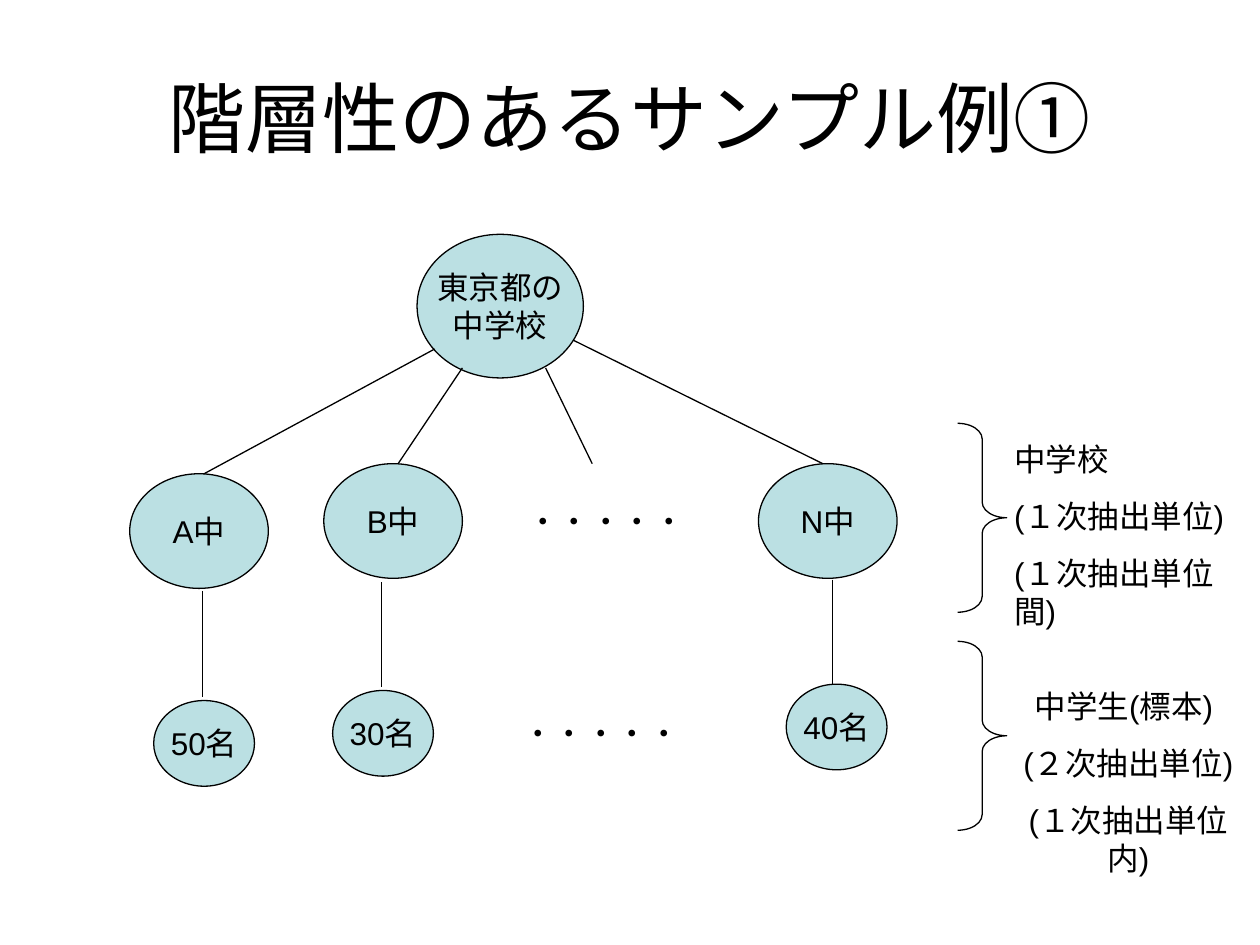
"""Build a slide showing a hierarchical school sample as a tree."""
import lxml.etree
import pptx
import pptx.dml.color
import pptx.enum.shapes
import pptx.enum.text
import pptx.oxml.ns
import pptx.util

Inches = pptx.util.Inches
Pt = pptx.util.Pt
ALIGN = pptx.enum.text.PP_ALIGN
SHAPE = pptx.enum.shapes.MSO_SHAPE
MIDDLE = pptx.enum.text.MSO_ANCHOR.MIDDLE

BLACK = pptx.dml.color.RGBColor(0x00, 0x00, 0x00)
PALE_TEAL = pptx.dml.color.RGBColor(0xBB, 0xE0, 0xE3)
FONT = "Arial"
DOTS = "・・・・・"
SCHOOL_SIZE = (1.1, 0.91)
PUPIL_SIZE = (0.8, 0.68)

SCHOOLS = [("A中", 1.03, 3.76), ("B中", 2.57, 3.68), (DOTS, 4.26, 3.68), ("N中", 6.02, 3.68)]
PUPILS = [("50名", 1.22, 5.56), ("30名", 2.64, 5.48), (DOTS, 4.37, 5.48), ("40名", 6.24, 5.43)]
BRANCHES = [
    ((3.45, 2.77), (1.62, 3.76)),
    ((3.67, 2.92), (3.16, 3.68)),
    ((4.33, 2.92), (4.7, 3.68)),
    ((4.55, 2.7), (6.53, 3.68)),
    ((1.61, 4.69), (1.61, 5.53)),
    ((3.03, 4.62), (3.03, 5.45)),
    ((6.61, 4.6), (6.61, 5.43)),
]


def format_text(text_frame, size, align):
    """Give every paragraph the same size, font, colour and alignment."""
    for paragraph in text_frame.paragraphs:
        paragraph.alignment = align
        for run in paragraph.runs:
            run.font.size = Pt(size)
            run.font.name = FONT
            run.font.color.rgb = BLACK


def outline(shape):
    """Draw the thin black line that all parts of the tree share."""
    shape.line.color.rgb = BLACK
    shape.line.width = Pt(0.75)


def add_title(slide, text):
    """Fill and place the title placeholder."""
    title = slide.shapes.title
    title.left, title.top = Inches(0.5), Inches(0.3)
    title.width, title.height = Inches(9), Inches(1.25)
    title.text_frame.text = text
    title.text_frame.vertical_anchor = MIDDLE
    format_text(title.text_frame, 44, ALIGN.CENTER)


def add_node(slide, label, left, top, size):
    """Add an oval with a centred label; a row of dots has no fill or line."""
    node = slide.shapes.add_shape(
        SHAPE.OVAL, Inches(left), Inches(top), *map(Inches, size))
    node.shadow.inherit = False
    if label == DOTS:
        node.fill.background()
        node.line.fill.background()
    else:
        node.fill.solid()
        node.fill.fore_color.rgb = PALE_TEAL
        outline(node)
    node.text_frame.text = label
    node.text_frame.word_wrap = False
    node.text_frame.vertical_anchor = MIDDLE
    format_text(node.text_frame, 18, ALIGN.CENTER)


def add_branch(slide, start, end):
    """Join two levels of the tree with a straight line."""
    branch = slide.shapes.add_connector(
        pptx.enum.shapes.MSO_CONNECTOR.STRAIGHT, *map(Inches, start + end))
    outline(branch)
    properties = branch.element.find(pptx.oxml.ns.qn("p:spPr"))
    lxml.etree.SubElement(properties, pptx.oxml.ns.qn("a:effectLst"))


def add_brace(slide, top):
    """Add the right brace that spans one level."""
    brace = slide.shapes.add_shape(
        SHAPE.RIGHT_BRACE, Inches(7.6), Inches(top), Inches(0.39), Inches(1.5))
    brace.adjustments[0] = 0.32
    brace.shadow.inherit = False
    brace.fill.background()
    outline(brace)


def add_level_note(slide, lines, left, top, width, align):
    """Describe one level beside its brace."""
    note = slide.shapes.add_textbox(
        Inches(left), Inches(top), Inches(width), Inches(1.62))
    note.text_frame.word_wrap = True
    note.text_frame.text = "\n".join(lines)
    format_text(note.text_frame, 18, align)
    for paragraph in note.text_frame.paragraphs[1:]:
        paragraph.space_before = Pt(11.2)


def main():
    """Assemble the slide and save it."""
    presentation = pptx.Presentation()
    presentation.slide_width, presentation.slide_height = Inches(10), Inches(7.5)
    slide = presentation.slides.add_slide(presentation.slide_layouts[5])
    add_title(slide, "階層性のあるサンプル例①")
    add_node(slide, "東京都の\n中学校", 3.31, 1.86, (1.32, 1.14))
    for level, size in ((SCHOOLS, SCHOOL_SIZE), (PUPILS, PUPIL_SIZE)):
        for label, left, top in level:
            add_node(slide, label, left, top, size)
    for start, end in BRANCHES:
        add_branch(slide, start, end)
    for top in (3.36, 5.09):
        add_brace(slide, top)
    add_level_note(slide, ["中学校", "(１次抽出単位)", "(１次抽出単位間)"],
                   7.95, 3.44, 2.05, ALIGN.LEFT)
    add_level_note(slide, ["中学生(標本) ", "(２次抽出単位)", "(１次抽出単位内)"],
                   7.91, 5.4, 2.09, ALIGN.CENTER)
    presentation.save("out.pptx")


if __name__ == "__main__":
    main()
